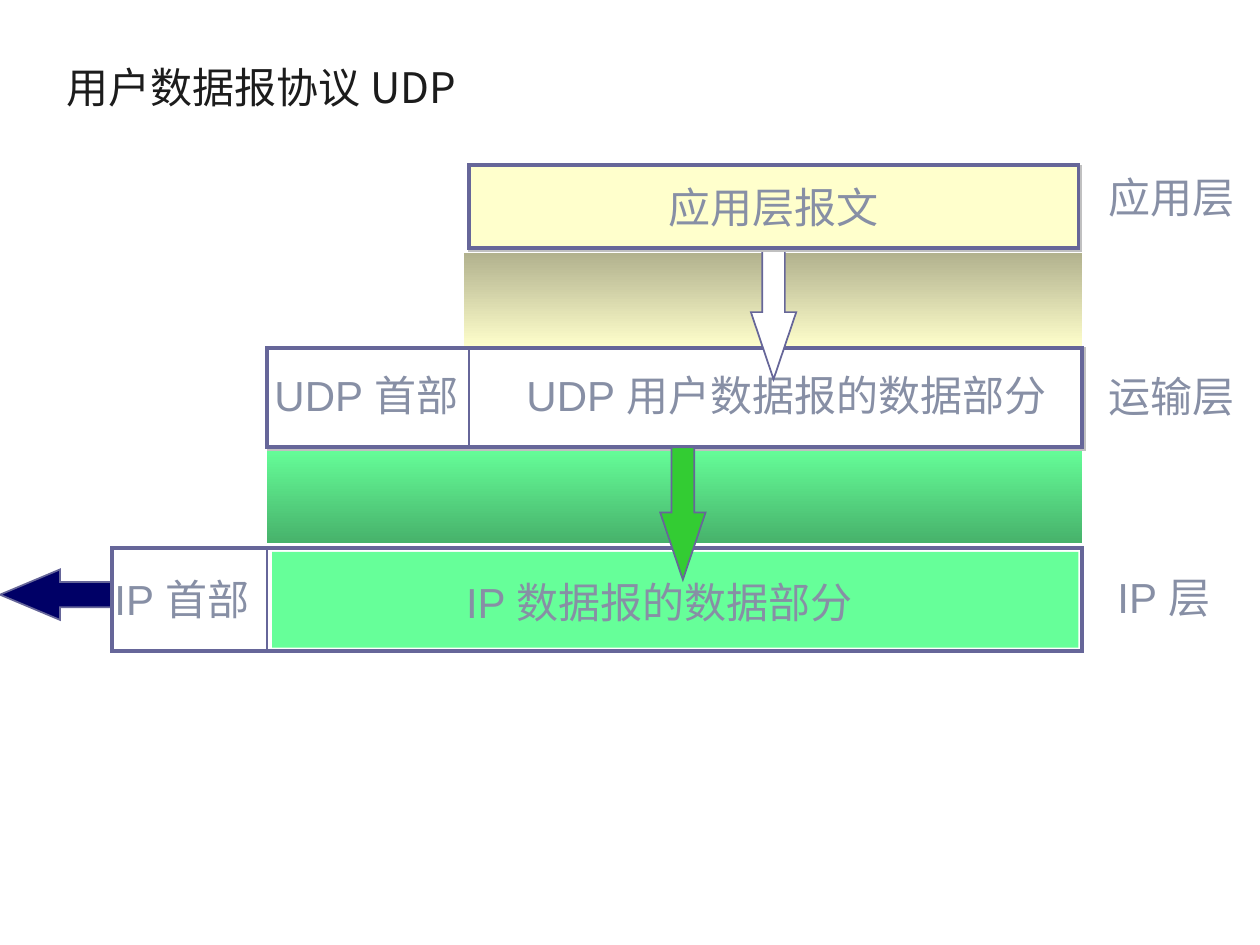
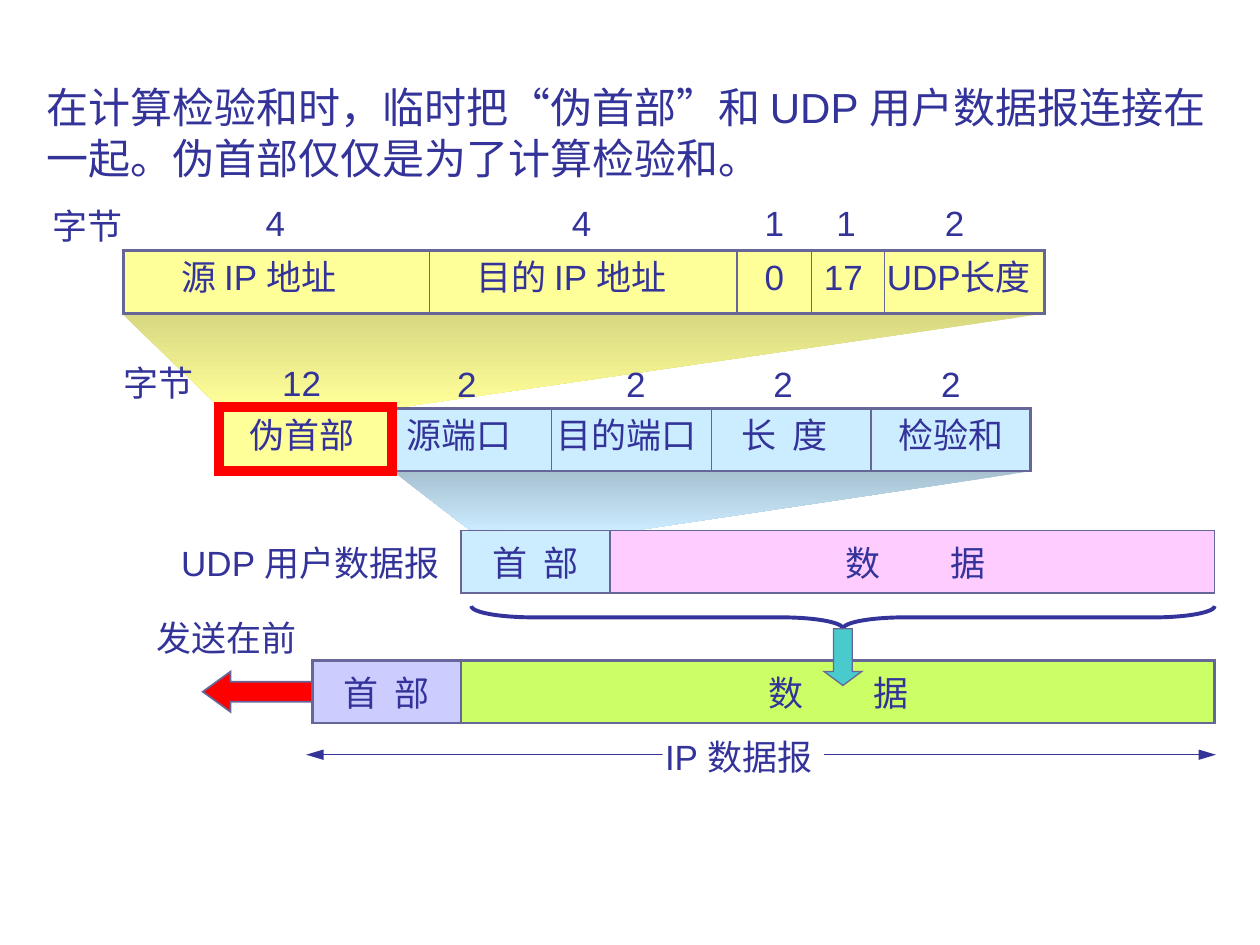
from lxml import etree
from pptx import Presentation
from pptx.dml.color import RGBColor
from pptx.enum.shapes import MSO_CONNECTOR, MSO_SHAPE
from pptx.enum.text import MSO_ANCHOR, MSO_AUTO_SIZE, PP_ALIGN
from pptx.oxml import parse_xml
from pptx.oxml.ns import nsdecls, qn
from pptx.util import Inches, Pt

RECT = MSO_SHAPE.RECTANGLE
DOWN = MSO_SHAPE.DOWN_ARROW
BACK = MSO_SHAPE.LEFT_ARROW
BRACE = MSO_SHAPE.RIGHT_BRACE
STRAIGHT = MSO_CONNECTOR.STRAIGHT
LEFT, CENTER = PP_ALIGN.LEFT, PP_ALIGN.CENTER
MIDDLE = MSO_ANCHOR.MIDDLE
GROW = MSO_AUTO_SIZE.SHAPE_TO_FIT_TEXT

EDGE, GREY, NAVY, BLACK = "666699", "878FA5", "333399", "1C1C1C"
WHITE, CREAM, MINT, YELLOW = "FFFFFF", "FFFFCC", "66FF99", "FFFF99"
SKY, PINK, LILAC, LIME, RED = "CCECFF", "FFCCFF", "CCCCFF", "CCFF66", "FF0000"
LATIN, HAN = "Arial", "Noto Sans CJK SC"
HIGH = 0.5  # height of every field row on the checksum slide


def color(code):
    return RGBColor.from_string(code)


def paint(shape, fill=None, line=None, width=1):
    """Fill with one colour, or with a top-to-bottom pair, and set the outline."""
    shape.shadow.inherit = False
    if isinstance(fill, tuple):
        shape.fill.gradient()
        shape.fill.gradient_angle = 270
        for stop, code in zip(shape.fill.gradient_stops, fill):
            stop.color.rgb = color(code)
    elif fill:
        shape.fill.solid()
        shape.fill.fore_color.rgb = color(fill)
    else:
        shape.fill.background()
    if line:
        shape.line.color.rgb = color(line)
        shape.line.width = Pt(width)
        edge = shape._element.spPr.find(qn("a:ln"))
        etree.SubElement(edge, qn("a:miter"), lim="800000")
    else:
        shape.line.fill.background()
    return shape


def draw(slide, kind, box, fill=None, line=None, width=1, adjust=()):
    shape = slide.shapes.add_shape(kind, *map(Inches, box))
    for i, value in enumerate(adjust):
        shape.adjustments[i] = value
    return paint(shape, fill, line, width)


def shade(shape):
    effects = shape._element.spPr.find(qn("a:effectLst"))
    effects.append(parse_xml(
        f'<a:outerShdw {nsdecls("a")} dist="17780" dir="2700000" algn="ctr">'
        '<a:srgbClr val="C0C0C0"/></a:outerShdw>'))


def funnel(slide, points, fill):
    points = [(Inches(x), Inches(y)) for x, y in points]
    pen = slide.shapes.build_freeform(*points[0])
    pen.add_line_segments(points[1:], close=True)
    paint(pen.convert_to_shape(), fill)


def rule(slide, start, end, ink=EDGE, width=0.75, heads=False):
    line = slide.shapes.add_connector(STRAIGHT, *map(Inches, start + end))
    line.line.color.rgb = color(ink)
    line.line.width = Pt(width)
    props = line._element.spPr
    if heads:
        for tag in ("a:headEnd", "a:tailEnd"):
            etree.SubElement(props.find(qn("a:ln")), qn(tag),
                             type="triangle", len="lg")
    etree.SubElement(props, qn("a:effectLst"))


def write(para, text, size, ink, latin=LATIN, gap=0):
    run = para.add_run()
    run.text = text
    font = run.font
    font.size, font.name, font.color.rgb = Pt(size), latin, color(ink)
    props = run._r.get_or_add_rPr()
    if gap:
        props.set("spc", str(int(gap * 100)))
    etree.SubElement(props, qn("a:ea"), typeface=HAN)


def label(slide, text, x, y, w, size=20, ink=NAVY, gap=0):
    """One-line label; gap widens the first letter and the space after it."""
    high = 0.5 if size == 24 else 0.44
    box = slide.shapes.add_textbox(*map(Inches, (x, y, w, high)))
    frame = box.text_frame
    frame.word_wrap = False
    frame.auto_size = GROW
    para = frame.paragraphs[0]
    if gap:
        write(para, text[:2], size, ink, gap=gap)
        text = text[2:]
    write(para, text, size, ink)


def labels(slide, x, y, items):
    for text, dx, w, *gap in items:
        label(slide, text, x + dx, y, w, gap=gap[0] if gap else 0)


def strip(slide, x, y, w, fill, cuts):
    """Bar of fields, divided at the offsets in cuts."""
    draw(slide, RECT, (x, y, w, HIGH), fill, EDGE, 1.5)
    for cut in cuts:
        rule(slide, (x + cut, y), (x + cut, y + HIGH))


def head_title(slide, text):
    title = slide.shapes.title
    title.left, title.top, title.width, title.height = map(
        Inches, (0.43, 0.38, 9, 0.61))
    frame = title.text_frame
    frame.vertical_anchor = MIDDLE
    para = frame.paragraphs[0]
    para.alignment = LEFT
    write(para, text, 24, BLACK, HAN)


def packet(slide, x, y, w, h, cut, names):
    """White packet with a header to the left of the cut."""
    bar = draw(slide, RECT, (x, y, w, h), WHITE, EDGE, 2.25)
    rule(slide, (x + cut, y), (x + cut, y + h), width=1)
    for text, dx, dy, wide in names:
        label(slide, text, x + dx, y + dy, wide, 24, GREY)
    return bar


def app_layer(slide, x, y):
    bar = draw(slide, RECT, (x, y, 4.84, 0.66), CREAM, EDGE, 2.25)
    shade(bar)
    frame = bar.text_frame
    frame.word_wrap = False
    frame.vertical_anchor = MIDDLE
    para = frame.paragraphs[0]
    para.alignment = CENTER
    write(para, "应用层报文", 24, GREY)


def udp_layer(slide, x, y):
    shade(packet(slide, x, y, 6.47, 0.79, 1.6, [
        ("UDP 首部", -0.04, 0.12, 1.74),
        ("UDP 用户数据报的数据部分", 1.96, 0.12, 4.41)]))


def ip_layer(slide, x, y):
    draw(slide, BACK, (0, y + 0.17, x + 0.05, 0.4), "000066", EDGE,
         adjust=(0.5, 1.19))
    packet(slide, x, y, 7.7, 0.82, 1.23, [("IP 首部", -0.08, 0.15, 1.35)])
    draw(slide, RECT, (x + 1.27, y + 0.03, 6.4, 0.76), MINT)
    label(slide, "IP 数据报的数据部分", x + 2.71, y + 0.18, 3.35, 24, GREY)


def layer_slide(slide):
    head_title(slide, "用户数据报协议 UDP")
    draw(slide, RECT, (2.12, 3.55, 6.47, 0.76), (MINT, "47B26B"))
    draw(slide, RECT, (3.68, 2.01, 4.91, 0.75), ("B2B28E", CREAM))
    ip_layer(slide, 0.89, 4.35)
    udp_layer(slide, 2.12, 2.76)
    for x, y, fill in [(5.24, 3.55, "33CC33"), (5.96, 1.96, WHITE)]:
        draw(slide, DOWN, (x, y, 0.36, 1.05), fill, EDGE, adjust=(0.5, 1.48))
    app_layer(slide, 3.72, 1.31)
    for text, x, y, w in [("应用层", 8.7, 1.31, 1.2),
                          ("运输层", 8.7, 2.89, 1.2),
                          ("IP 层", 8.77, 4.49, 1.02)]:
        label(slide, text, x, y, w, 24, GREY)


def intro(slide, x, y):
    box = slide.shapes.add_textbox(*map(Inches, (x, y, 9.49, 0.9)))
    box.text_frame.word_wrap = True
    para = box.text_frame.paragraphs[0]
    write(para, "在计算检验和时，临时把“伪首部”和 UDP 用户数据报连接在一起。",
          24, NAVY)
    write(para, "伪首部仅仅是为了计算检验和。", 24, NAVY, "Roboto")


def pseudo_fields(slide, x, y):
    strip(slide, x, y, 7.31, YELLOW, (2.43, 4.87, 5.46, 6.04))
    labels(slide, x, y - 0.01, [
        ("源 IP 地址", 0.36, 1.57), ("目的 IP 地址", 2.7, 1.85),
        ("0", 4.99, 0.35), ("17", 5.46, 0.51), ("UDP长度", 5.96, 1.41)])
    labels(slide, x, y - 0.42, [("字节", -0.66, 0.78)])
    labels(slide, x, y - 0.44, [
        ("4", 1.03, 0.35), ("4", 3.46, 0.35), ("1", 4.99, 0.35),
        ("1", 5.56, 0.35), ("2", 6.42, 0.35)])


def udp_fields(slide, x, y):
    wide = 5.07
    strip(slide, x, y, wide, SKY, [wide / 4 * i for i in (1, 2, 3)])
    draw(slide, RECT, (x - 1.37, y - 0.01, 1.37, 0.51), YELLOW, RED, 6)
    labels(slide, x, y - 0.01, [
        ("伪首部", -1.23, 1.06), ("源端口", 0.02, 1.06),
        ("目的端口", 1.21, 1.34), ("长 度", 2.68, 0.9, 2.25),
        ("检验和", 3.92, 1.06)])
    labels(slide, x, y - 0.42, [("字节", -2.23, 0.78), ("12", -0.97, 0.51)])
    labels(slide, x, y - 0.41, [
        ("2", dx, 0.35) for dx in (0.42, 1.76, 2.93, 4.26)])


def datagram(slide, x, y, wide, fills, width, data):
    """Header and data bar; data is the offset of the data label."""
    head = 1.18
    draw(slide, RECT, (x, y, head, HIGH), fills[0], EDGE, width)
    draw(slide, RECT, (x + head, y, wide - head, HIGH), fills[1], EDGE, width)
    labels(slide, x, y + 0.04, [("首 部", 0.15, 0.9, 2.25),
                                ("数 据", data, 1.34, 17.75)])


def udp_part(slide, x, y):
    datagram(slide, x, y, 5.98, (SKY, PINK), 1, 2.95)
    label(slide, "UDP 用户数据报", x - 2.32, y + 0.04, 2.34)
    brace = draw(slide, BRACE, (x + 2.94, y - 2.26, 0.18, 5.9), None, NAVY,
                 2.25, (2.72, 0.5))
    brace.rotation = 90


def ip_part(slide, x, y):
    draw(slide, BACK, (x - 0.87, y + 0.09, 0.87, 0.32), RED, EDGE,
         adjust=(0.5, 0.69))
    datagram(slide, x, y, 7.16, (LILAC, LIME), 1.5, 3.52)
    label(slide, "发送在前", x - 1.34, y - 0.4, 1.34)
    draw(slide, DOWN, (x + 4.06, y - 0.25, 0.3, 0.45), "49CACD", EDGE, 0.75,
         (0.5, 0.37))
    level = y + 0.75
    rule(slide, (x - 0.05, level), (x + 7.17, level), NAVY, heads=True)
    draw(slide, RECT, (x + 2.78, level - 0.17, 1.28, 0.32), WHITE)
    label(slide, "IP 数据报", x + 2.7, level - 0.2, 1.44)


def sum_slide(slide):
    intro(slide, 0.27, 0.6)
    funnel(slide, [(3.12, 3.74), (8.18, 3.74), (4.97, 4.22), (3.72, 4.2)],
           ("A7C1D1", SKY))
    funnel(slide, [(0.97, 2.49), (8.28, 2.49), (3.12, 3.24), (1.75, 3.24)],
           ("D8D882", YELLOW))
    pseudo_fields(slide, 0.98, 1.99)
    udp_fields(slide, 3.11, 3.24)
    udp_part(slide, 3.66, 4.21)
    ip_part(slide, 2.48, 5.24)


def main():
    deck = Presentation()
    deck.slide_width, deck.slide_height = Inches(10), Inches(7.5)
    title_only, blank = deck.slide_layouts[5], deck.slide_layouts[6]
    layer_slide(deck.slides.add_slide(title_only))
    sum_slide(deck.slides.add_slide(blank))
    deck.save("out.pptx")


if __name__ == "__main__":
    main()
